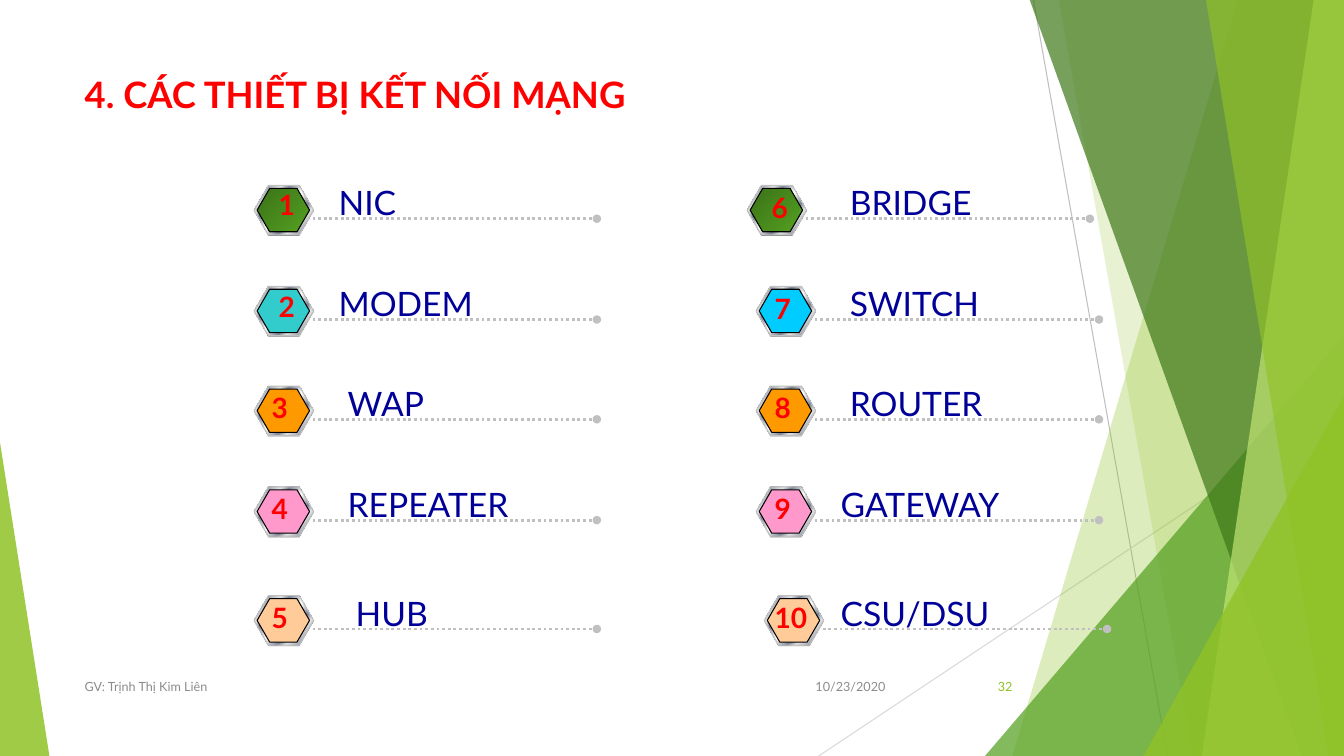
from dataclasses import dataclass

from pptx import Presentation
from pptx.dml.color import RGBColor
from pptx.enum.dml import MSO_LINE
from pptx.enum.shapes import MSO_CONNECTOR, MSO_SHAPE as SHAPE
from pptx.enum.text import MSO_ANCHOR as ANCHOR, MSO_AUTO_SIZE as AUTO, PP_ALIGN as ALIGN
from pptx.oxml.ns import qn
from pptx.oxml.xmlchemy import OxmlElement
from pptx.util import Pt

PX = 9144  # EMU in one px, 100 px to the inch


@dataclass(frozen=True)
class Theme:
    font: str = "Lato"
    title_size: int = 26
    label_size: int = 24
    number_size: int = 20
    footer_size: int = 9
    red: str = "FF0000"
    navy: str = "000099"
    gray: str = "8C8C8C"
    lime: str = "90C226"
    green: str = "54A021"
    forest: str = "3F7819"
    pale_lime: str = "C0E474"
    silver: str = "C0C0C0"
    badge_shade: str = "808080"
    black: str = "000000"
    ray_dark: str = "BFBFBF"
    ray_light: str = "D9D9D9"
    metal: tuple = ((0, "E6E6E6"), (8, "7D8496"), (26, "E6E6E6"), (34, "7D8496"),
                    (46, "E6E6E6"), (50, "FFFFFF"), (54, "E6E6E6"), (66, "7D8496"),
                    (74, "E6E6E6"), (92, "7D8496"), (100, "E6E6E6"))
    leaf: tuple = ((0, "3C7218"), (100, "54A021"))
    teal: str = "33CCCC"
    sky: str = "00CCFF"
    orange: str = "FF9900"
    pink: str = "FF99CC"
    peach: str = "FFCC99"


class SlideBuilder:
    def __init__(self, slide, theme):
        self.slide, self.theme = slide, theme

    def paint(self, shape, fill, opacity=100, line=None):
        """Fill with a colour or with (position, colour) gradient stops."""
        shape.shadow.inherit = False
        if isinstance(fill, tuple):
            shape.fill.gradient()
            shape.fill.gradient_angle = 315
            stops = shape._element.spPr.find(qn("a:gradFill")).find(qn("a:gsLst"))
            stops.clear()
            for position, color in fill:
                stop, rgb = OxmlElement("a:gs"), OxmlElement("a:srgbClr")
                stop.set("pos", str(position * 1000))
                rgb.set("val", color)
                stop.append(rgb)
                stops.append(stop)
        else:
            shape.fill.solid()
            shape.fill.fore_color.rgb = RGBColor.from_string(fill)
            if opacity < 100:
                alpha = OxmlElement("a:alpha")
                alpha.set("val", str(opacity * 1000))
                shape._element.spPr.find(qn("a:solidFill"))[0].append(alpha)
        if line:
            shape.line.color.rgb = RGBColor.from_string(line)
            shape.line.width = Pt(0.75)
        else:
            shape.line.fill.background()

    def facet(self, points, color, opacity):
        outline = self.slide.shapes.build_freeform(*points[0], scale=PX)
        outline.add_line_segments(points[1:], close=True)
        self.paint(outline.convert_to_shape(), color, opacity)

    def preset(self, kind, box, adjust, fill, opacity=100, line=None, parent=None):
        shapes = (parent or self.slide).shapes
        shape = shapes.add_shape(kind, *(n * PX for n in box))
        shape.adjustments[0] = adjust
        self.paint(shape, fill, opacity, line)

    def line(self, start, end, color, width=0.75, dotted=False):
        rule = self.slide.shapes.add_connector(
            MSO_CONNECTOR.STRAIGHT, *(n * PX for n in start + end))
        rule.line.color.rgb = RGBColor.from_string(color)
        rule.line.width = Pt(width)
        if dotted:
            rule.line.dash_style = MSO_LINE.ROUND_DOT
            dot = OxmlElement("a:tailEnd")
            dot.set("type", "oval")
            rule._element.spPr.find(qn("a:ln")).append(dot)
        rule._element.spPr.append(OxmlElement("a:effectLst"))

    def set_text(self, frame, text, size, color, bold=False, align=ALIGN.LEFT):
        frame.text = text
        paragraph = frame.paragraphs[0]
        paragraph.alignment = align
        font = paragraph.font
        font.name, font.size, font.bold = self.theme.font, Pt(size), bold
        font.color.rgb = RGBColor.from_string(color)

    def title(self, text, box):
        heading = self.slide.shapes.title
        heading.left, heading.top, heading.width, heading.height = (n * PX for n in box)
        frame = heading.text_frame
        frame.vertical_anchor, frame.auto_size = ANCHOR.TOP, AUTO.NONE
        self.set_text(frame, text, self.theme.title_size, self.theme.red, bold=True)
        self.slide.shapes._spTree.append(heading._element)  # in front of the facets

    def text(self, text, box, size, color, wrap=True, fit=True, anchor=ANCHOR.TOP, **style):
        frame = self.slide.shapes.add_textbox(*(n * PX for n in box)).text_frame
        frame.word_wrap, frame.vertical_anchor = wrap, anchor
        frame.auto_size = AUTO.SHAPE_TO_FIT_TEXT if fit else AUTO.NONE
        self.set_text(frame, text, size, color, **style)

    def badge(self, left, top, fill):
        group = self.slide.shapes.add_group_shape()
        for box, color, line in (
                ((left, top + 1, 59, 49), self.theme.badge_shade, None),
                ((left, top, 59, 49), self.theme.metal, self.theme.silver),
                ((left + 3, top + 3, 52, 43), fill, self.theme.black)):
            self.preset(SHAPE.HEXAGON, box, 0.289, color, line=line, parent=group)

    def device(self, number, name, left, top, fill, number_at, name_left):
        theme = self.theme
        self.badge(left, top, fill)
        self.line((left + 58, top + 33), (left + 340, top + 33), theme.silver, 2, dotted=True)
        self.text(name, (name_left, top - 8, 241, 51), theme.label_size, theme.navy)
        self.text(str(number), (*number_at, 37 if number < 10 else 53, 44),
                  theme.number_size, theme.red, wrap=False, bold=True, align=ALIGN.CENTER)

    def footer(self, text, left, width, color, align=ALIGN.LEFT):
        self.text(text, (left, 661, width, 40), self.theme.footer_size, color,
                  fit=False, anchor=ANCHOR.MIDDLE, align=align)


def main():
    deck = Presentation()
    deck.slide_width, deck.slide_height = 1333 * PX, 750 * PX
    theme = Theme()
    page = SlideBuilder(deck.slides.add_slide(deck.slide_layouts[5]), theme)

    # Background rays and facets
    page.line((1025, 0), (1158, 750), theme.ray_dark)
    page.line((1333, 403), (812, 750), theme.ray_light)

    def right_facet(top_left, bottom_left, color, opacity):
        page.facet([(top_left, -1), (1333, -1), (1333, 750), (bottom_left, 750)],
                   color, opacity)

    right_facet(1228, 1004, theme.lime, 30)
    right_facet(1050, 1183, theme.lime, 20)
    page.preset(SHAPE.ISOSCELES_TRIANGLE, (977, 333, 356, 417), 1, theme.green, 72)
    right_facet(1021, 1291, theme.forest, 70)
    right_facet(1303, 1192, theme.pale_lime, 70)
    right_facet(1196, 1318, theme.lime, 65)
    page.preset(SHAPE.ISOSCELES_TRIANGLE, (1134, 393, 199, 357), 1, theme.lime, 80)
    page.preset(SHAPE.ISOSCELES_TRIANGLE, (0, 439, 49, 311), 0, theme.lime, 85)

    page.title("4. CÁC THIẾT BỊ KẾT NỐI MẠNG", (74, 67, 940, 144))

    # Devices: name, badge left, badge fill, number position, name left
    row_tops = (184, 284, 383, 483, 591)
    devices = (
        ("NIC", 252, theme.leaf, (266, 181), 326),
        ("MODEM", 252, theme.teal, (266, 282), 326),
        ("WAP", 252, theme.orange, (259, 383), 335),
        ("REPEATER", 252, theme.pink, (259, 483), 335),
        ("HUB", 252, theme.peach, (259, 591), 343),
        ("BRIDGE", 741, theme.leaf, (755, 184), 833),
        ("SWITCH", 750, theme.sky, (758, 284), 833),
        ("ROUTER", 750, theme.orange, (758, 383), 833),
        ("GATEWAY", 750, theme.pink, (758, 483), 824),
        ("CSU/DSU", 758, theme.peach, (758, 591), 824),
    )
    for index, (name, left, fill, number_at, name_left) in enumerate(devices):
        top = row_tops[index % len(row_tops)]
        page.device(index + 1, name, left, top, fill, number_at, name_left)

    # Footer
    page.footer("10/23/2020", 788, 100, theme.gray, ALIGN.RIGHT)
    page.footer("GV: Trịnh Thị Kim Liên", 74, 689, theme.gray)
    page.footer("32", 939, 75, theme.lime, ALIGN.RIGHT)

    deck.save("out.pptx")


if __name__ == "__main__":
    main()
